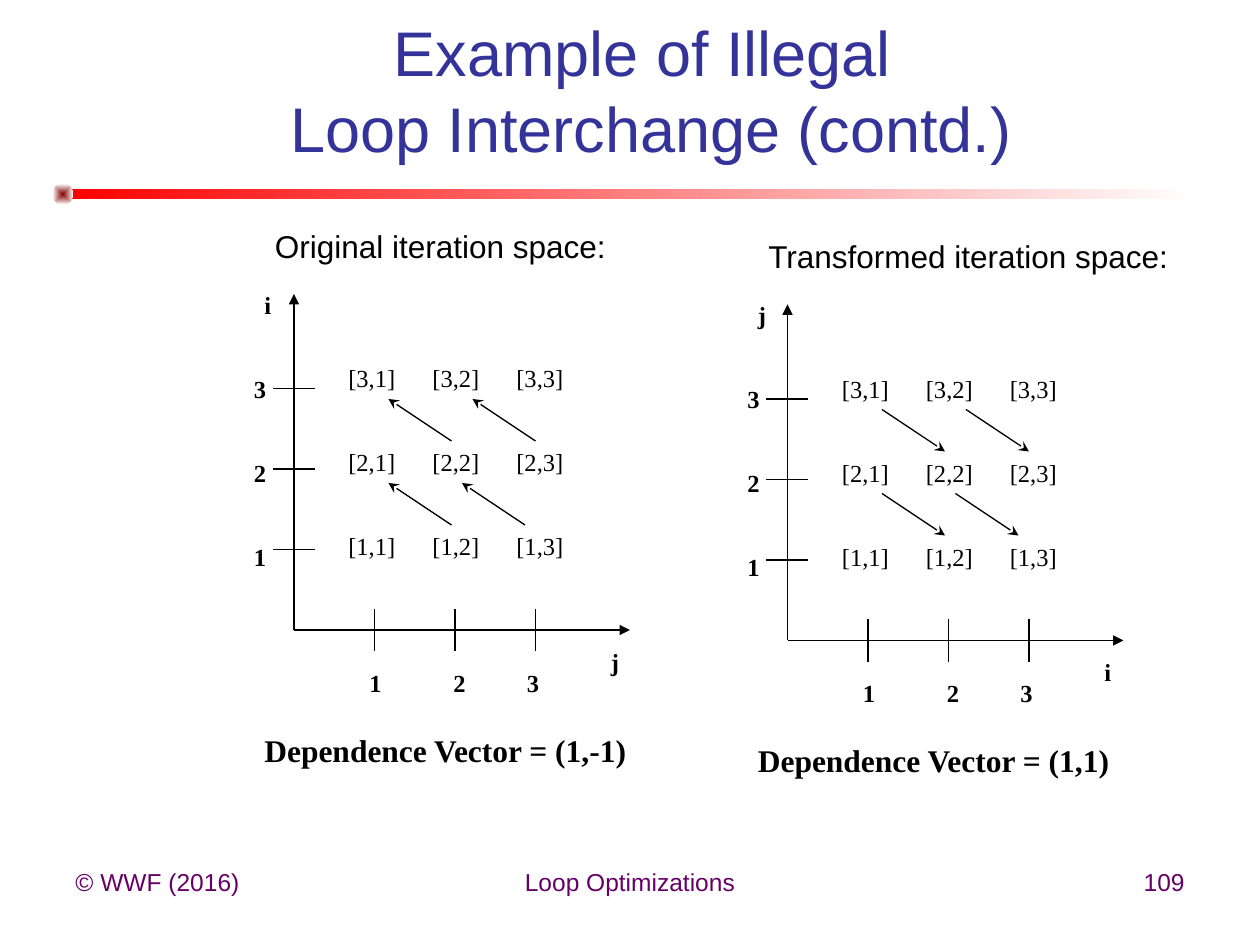
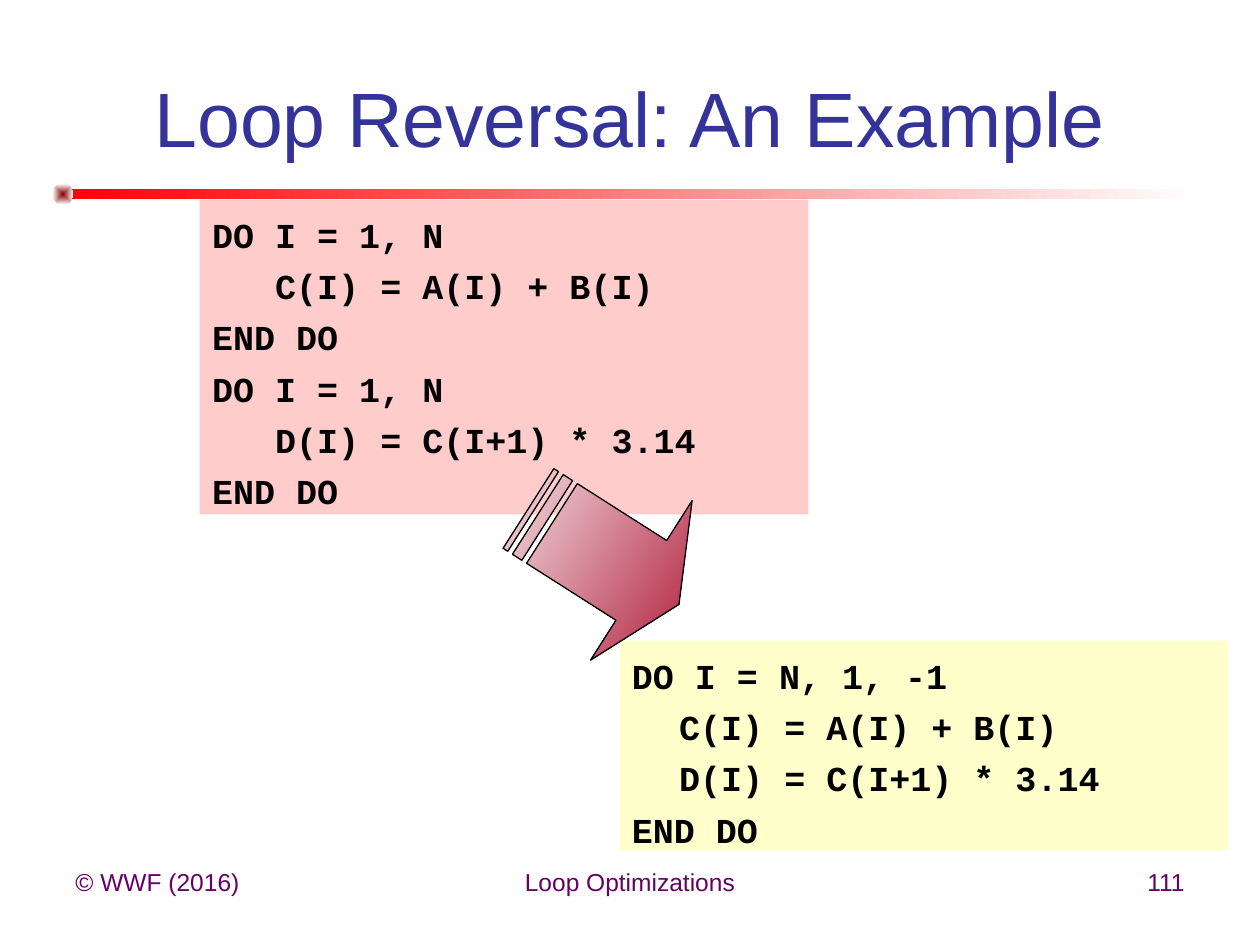
from dataclasses import dataclass

from lxml import etree
from pptx import Presentation
from pptx.dml.color import RGBColor
from pptx.enum.shapes import MSO_CONNECTOR, MSO_SHAPE
from pptx.enum.text import MSO_ANCHOR, MSO_AUTO_SIZE, PP_ALIGN
from pptx.oxml.ns import qn
from pptx.util import Pt

LEFT, CENTER, RIGHT = PP_ALIGN.LEFT, PP_ALIGN.CENTER, PP_ALIGN.RIGHT
MIDDLE, TOP = MSO_ANCHOR.MIDDLE, MSO_ANCHOR.TOP
NO_AUTOFIT = MSO_AUTO_SIZE.NONE
RECT, OVAL, BIG_ARROW = MSO_SHAPE.RECTANGLE, MSO_SHAPE.OVAL, MSO_SHAPE.STRIPED_RIGHT_ARROW
STRAIGHT = MSO_CONNECTOR.STRAIGHT


@dataclass(frozen=True)
class Theme:
    sans: str = "Arial"
    serif: str = "Times New Roman"
    mono: str = "Courier New"
    title: str = "333399"
    footer: str = "660066"
    ink: str = "000000"
    white: str = "FFFFFF"
    band: str = "FF0000"
    dot: str = "800000"
    arrow: str = "A50021"
    before: str = "FFCCCC"
    after: str = "FFFFCC"
    label_size: int = 14
    heading_size: int = 18
    code_size: int = 20
    line_width: float = 0.75


THEME = Theme()

# Content
COPYRIGHT, TOPIC = "© WWF (2016)", "Loop Optimizations"

INTERCHANGE = {
    "title": ["Example of Illegal ", "Loop Interchange (contd.)"],
    "title_box": (36, 36, 672, 30), "title_size": 36, "number": "109",
}
SPACES = [
    {"heading": "Original iteration space:", "up": "i", "across": "j",
     "vector": "Dependence Vector = (1,-1)", "origin": (168, 360), "rising": True},
    {"heading": "Transformed iteration space:", "up": "j", "across": "i",
     "vector": "Dependence Vector = (1,1)", "origin": (450, 366), "rising": False},
]

REVERSAL = {
    "title": ["Loop Reversal: An Example"],
    "title_box": (36, 21.6, 648, 90), "title_size": 44, "number": "111",
}
BEFORE_CODE = [
    "DO I = 1, N",
    "   C(I) = A(I) + B(I)",
    "END DO",
    "DO I = 1, N",
    "   D(I) = C(I+1) * 3.14",
    "END DO",
]
AFTER_CODE = [
    "DO I = N, 1, -1",
    "\tC(I) = A(I) + B(I)",
    "\tD(I) = C(I+1) * 3.14",
    "END DO",
]

# Iteration space geometry, measured from the origin of the axes
AXIS, TICK_STEP, TICK_HALF, CELL_STEP = 192, 46, 12, 48
ACROSS_LABELS = [36, 84, 126]
# Lower right end of each dependence arrow
DEPENDENCES = [(138, -108), (90, -108), (132, -60), (90, -60)]
DEPENDENCE_SPAN = (36, 24)


def rgb(value):
    return RGBColor.from_string(value)


def points(*values):
    return [Pt(v) for v in values]


def place(shape, box):
    shape.left, shape.top, shape.width, shape.height = points(*box)


def add_run(paragraph, text, font, size, color, bold=False):
    run = paragraph.add_run()
    run.text = text
    run.font.name, run.font.size, run.font.bold = font, Pt(size), bold
    run.font.color.rgb = rgb(color)


def add_text(slide, box, text, font=THEME.serif, size=THEME.label_size,
             color=THEME.ink, bold=False, align=LEFT):
    frame = slide.shapes.add_textbox(*points(*box)).text_frame
    frame.word_wrap = True
    paragraph = frame.paragraphs[0]
    paragraph.alignment = align
    add_run(paragraph, text, font, size, color, bold)


def add_gradient_shape(slide, kind, box, start, end):
    shape = slide.shapes.add_shape(kind, *points(*box))
    shape.shadow.inherit = False
    shape.line.fill.background()
    shape.fill.gradient()
    shape.fill.gradient_angle = 0
    for stop, color, position in zip(shape.fill.gradient_stops, (start, end), (0, 1)):
        stop.color.rgb = rgb(color)
        stop.position = position
    return shape


def add_line(slide, start, end, arrowhead=None):
    line = slide.shapes.add_connector(STRAIGHT, *points(*start, *end))
    line.line.color.rgb = rgb(THEME.ink)
    line.line.width = Pt(THEME.line_width)
    properties = line._element.spPr
    if arrowhead:
        outline = properties.find(qn("a:ln"))
        etree.SubElement(outline, qn("a:tailEnd"), type=arrowhead)
    etree.SubElement(properties, qn("a:effectLst"))


def add_frame(prs, layout, page):
    """Title, band and footer shared by every slide."""
    slide = prs.slides.add_slide(prs.slide_layouts[layout])
    add_gradient_shape(slide, RECT, (36, 108, 648, 6), THEME.band, THEME.white)
    dot = add_gradient_shape(slide, OVAL, (30, 105, 12, 12), THEME.dot, THEME.white)
    gradient = dot._element.spPr.find(qn("a:gradFill"))
    gradient.remove(gradient.find(qn("a:lin")))
    center = etree.SubElement(gradient, qn("a:path"), path="shape")
    etree.SubElement(center, qn("a:fillToRect"), l="50000", t="50000", r="50000", b="50000")

    for left, width, text, align in [(36, 168, COPYRIGHT, LEFT), (246, 228, TOPIC, CENTER),
                                     (516, 168, page["number"], RIGHT)]:
        add_text(slide, (left, 492, width, 37.5), text, THEME.sans,
                 color=THEME.footer, align=align)

    title = slide.shapes.title
    place(title, page["title_box"])
    frame = title.text_frame
    frame.auto_size, frame.vertical_anchor, frame.word_wrap = NO_AUTOFIT, MIDDLE, True
    paragraph = frame.paragraphs[0]
    paragraph.alignment = CENTER
    for i, text in enumerate(page["title"]):
        if i:
            paragraph.add_line_break()
        add_run(paragraph, text, THEME.sans, page["title_size"], THEME.title)
    return slide


def add_iteration_space(slide, space):
    x0, y0 = space["origin"]

    def at(dx, dy):
        return x0 + dx, y0 + dy

    def label(dx, dy, text, width=24, height=24, **style):
        add_text(slide, (*at(dx, dy), width, height), text, **style)

    # Axes, ticks and their labels
    add_line(slide, at(0, 0), at(0, -AXIS), "triangle")
    add_line(slide, at(0, 0), at(AXIS, 0), "triangle")
    label(-24, -198, space["up"], bold=True)
    label(174, 6, space["across"], bold=True)
    for i, label_x in enumerate(ACROSS_LABELS):
        tick = (i + 1) * TICK_STEP
        add_line(slide, at(-TICK_HALF, -tick), at(TICK_HALF, -tick))
        add_line(slide, at(tick, -TICK_HALF), at(tick, TICK_HALF))
        label(label_x, 18, str(i + 1), bold=True)
        label(-30, -54 - i * CELL_STEP, str(i + 1), bold=True)

    # Iterations and dependences
    for row in range(3):
        for col in range(3):
            label(24 + col * CELL_STEP, -60 - row * CELL_STEP,
                  f"[{row + 1},{col + 1}]", width=42)
    for dx, dy in DEPENDENCES:
        ends = [at(dx, dy), at(dx - DEPENDENCE_SPAN[0], dy - DEPENDENCE_SPAN[1])]
        start, end = ends if space["rising"] else reversed(ends)
        add_line(slide, start, end, "stealth")

    # Heading and result
    label(-18, -234, space["heading"], 258, 28.8, font=THEME.sans, size=THEME.heading_size)
    label(-24, 54, space["vector"], 294, 28.8, size=THEME.heading_size, bold=True)


def fill_code(shape, box, lines, color):
    place(shape, box)
    shape.fill.solid()
    shape.fill.fore_color.rgb = rgb(color)
    frame = shape.text_frame
    frame.auto_size, frame.vertical_anchor, frame.word_wrap = NO_AUTOFIT, TOP, True
    frame.margin_top = Pt(8)
    for i, text in enumerate(lines):
        paragraph = frame.add_paragraph() if i else frame.paragraphs[0]
        paragraph.alignment = LEFT
        paragraph.space_before = Pt(5.25 if i else 0)
        properties = paragraph._p.get_or_add_pPr()
        properties.set("marL", str(Pt(27)))
        properties.set("indent", str(-Pt(27)))
        etree.SubElement(properties, qn("a:buNone"))
        add_run(paragraph, text, THEME.mono, THEME.code_size, THEME.ink, True)


def main():
    prs = Presentation()
    prs.slide_width, prs.slide_height = points(720, 540)

    # Illegal interchange
    interchange = add_frame(prs, 5, INTERCHANGE)
    for space in SPACES:
        add_iteration_space(interchange, space)

    # Loop reversal
    reversal = add_frame(prs, 1, REVERSAL)
    fill_code(reversal.placeholders[1], (114, 114, 348, 180), BEFORE_CODE, THEME.before)
    after_box = (354, 366, 348, 120)
    after = reversal.shapes.add_textbox(*points(*after_box))
    fill_code(after, after_box, AFTER_CODE, THEME.after)
    arrow = add_gradient_shape(reversal, BIG_ARROW, (294, 264, 102, 108),
                               THEME.white, THEME.arrow)
    arrow.adjustments[0], arrow.adjustments[1] = 0.5, 0.25
    arrow.rotation = 32.5
    arrow.line.color.rgb = rgb(THEME.ink)
    arrow.line.width = Pt(THEME.line_width)

    prs.save("out.pptx")


if __name__ == "__main__":
    main()
